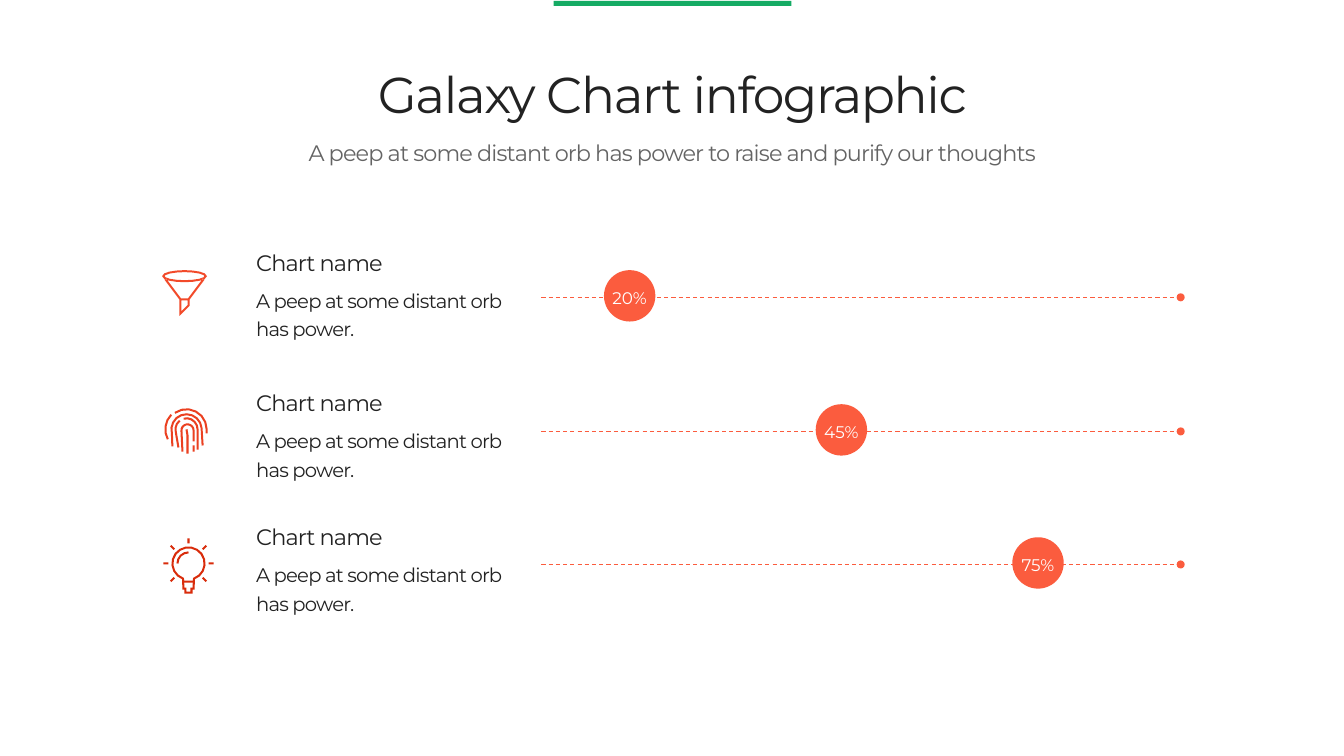
import itertools
import math

import pptx
import pptx.dml.color
import pptx.enum.dml
import pptx.enum.shapes
import pptx.enum.text
import pptx.oxml.ns
import pptx.util
from lxml import etree

inches = pptx.util.Inches
hex_color = pptx.dml.color.RGBColor.from_string
ORANGE, GREEN, INK, GREY, WHITE = "FB5C3E", "15AB64", "222222", "646464", "FFFFFF"
UNITS = 1000


def arc(x, y, radius_x, radius_y, start, end):
    steps = math.ceil(abs(end - start) / 22.5)
    angles = [math.radians(start + (end - start) * step / steps) for step in range(steps + 1)]
    return [complex(x + radius_x * math.cos(a), y + radius_y * math.sin(a)) for a in angles]


def ribbon(points, width):
    directions = [(b - a) / abs(b - a) for a, b in itertools.pairwise(points)]
    closed = abs(points[0] - points[-1]) < 0.01
    before = [directions[-1 if closed else 0]] + directions
    after = directions + [directions[0 if closed else -1]]
    offsets = [1j * (u + v) * width / abs(u + v) ** 2 for u, v in zip(before, after)]
    left = [point + offset for point, offset in zip(points, offsets)]
    right = [point - offset for point, offset in zip(points, offsets)]
    return left + right[::-1]


presentation = pptx.Presentation()
presentation.slide_width = inches(13.33)
presentation.slide_height = inches(7.5)
slide = presentation.slides.add_slide(presentation.slide_layouts[6])
shapes = slide.shapes
kinds = pptx.enum.shapes.MSO_SHAPE
alignments = pptx.enum.text.PP_ALIGN

funnel = [
    arc(1.83, 2.74, 0.21, 0.05, 0, 360),
    [1.64 + 2.77j, 1.79 + 2.97j, 1.79 + 3.11j, 1.87 + 3.03j, 1.87 + 2.97j, 2.02 + 2.77j],
    [1.8 + 2.97j, 1.86 + 2.97j],
]
fingerprint = [
    arc(1.85, 4.26, 0.2, 0.2, 235, 360) + [2.05 + 4.3j],
    arc(1.85, 4.26, 0.21, 0.21, 224, 152),
    [1.71 + 4.43j] + arc(1.85, 4.26, 0.15, 0.15, 165, 355) + [2.01 + 4.42j],
    arc(1.85, 4.26, 0.11, 0.11, 255, 360) + [1.96 + 4.46j],
    arc(1.85, 4.26, 0.11, 0.11, 232, 165) + [1.77 + 4.44j],
    [1.81 + 4.48j] + arc(1.86, 4.27, 0.06, 0.06, 175, 360) + [1.92 + 4.38j],
    [1.92 + 4.42j, 1.92 + 4.48j],
    [1.85 + 4.26j, 1.86 + 4.32j, 1.86 + 4.5j],
]
glass = arc(1.87, 5.59, 0.16, 0.16, 110, 430)
socket = [1.92 + 5.84j, 1.9 + 5.84j, 1.9 + 5.88j, 1.84 + 5.88j, 1.84 + 5.84j, 1.82 + 5.84j]
bulb = [
    glass + socket + glass[:1],
    [1.83 + 5.77j, 1.91 + 5.77j],
    arc(1.87, 5.59, 0.11, 0.11, 180, 270),
]
for angle in range(135, 406, 45):
    ray = complex(math.cos(math.radians(angle)), math.sin(math.radians(angle)))
    bulb.append([1.87 + 5.59j + ray * 0.2, 1.87 + 5.59j + ray * 0.25])

for strokes, width, color in [
    (bulb, 0.02, "D92C0B"),
    (fingerprint, 0.02, "EB4020"),
    (funnel, 0.02, "F24A2A"),
]:
    contours = [
        [(round(p.real * UNITS), round(p.imag * UNITS)) for p in ribbon(stroke, width)]
        for stroke in strokes
    ]
    builder = shapes.build_freeform(*contours[0][0], scale=inches(1) / UNITS)
    for index, contour in enumerate(contours):
        if index:
            builder.move_to(*contour[0])
        builder.add_line_segments(contour[1:], close=True)
    icon = builder.convert_to_shape()
    icon.fill.solid()
    icon.fill.fore_color.rgb = hex_color(color)
    icon.line.fill.background()
    icon.shadow.inherit = False

texts = [
    (shapes.add_textbox(inches(0.92), inches(0.65), inches(11.5), inches(0.67)),
     [("Galaxy Chart infographic", 36, INK, -100, 0.9, 0)], alignments.CENTER),
    (shapes.add_textbox(inches(0.92), inches(1.28), inches(11.5), inches(0.44)),
     [("A peep at some distant orb has power to raise and purify our thoughts",
       16, GREY, -60, 1.2, 12)], alignments.CENTER),
]
solids = [(kinds.RECTANGLE, 5.49, 0.01, 2.36, 0.05, GREEN, None)]

for middle, text_top, bubble_left, share in [
    (2.95, 2.37, 5.99, "20%"),
    (4.28, 3.76, 8.09, "45%"),
    (5.6, 5.09, 10.04, "75%"),
]:
    track = shapes.add_connector(
        pptx.enum.shapes.MSO_CONNECTOR.STRAIGHT,
        inches(5.37), inches(middle), inches(11.67), inches(middle))
    track.line.color.rgb = hex_color(ORANGE)
    track.line.width = pptx.util.Pt(0.75)
    track.line.dash_style = pptx.enum.dml.MSO_LINE.DASH
    etree.SubElement(track._element.spPr, pptx.oxml.ns.qn("a:effectLst"))
    solids.append((kinds.OVAL, bubble_left, middle - 0.27, 0.51, 0.51, ORANGE, share))
    solids.append((kinds.OVAL, 11.67, middle - 0.04, 0.08, 0.08, ORANGE, None))
    label = shapes.add_textbox(inches(2.54), inches(text_top), inches(2.49), inches(1.07))
    label.text_frame.auto_size = pptx.enum.text.MSO_AUTO_SIZE.SHAPE_TO_FIT_TEXT
    texts.append((label, [
        ("Chart name", 16, INK, -60, 1.2, 6),
        ("A peep at some distant orb has power.", 14, INK, -60, 1.2, 6),
    ], alignments.LEFT))

for kind, left, top, width, height, color, caption in solids:
    solid = shapes.add_shape(kind, inches(left), inches(top), inches(width), inches(height))
    solid.fill.solid()
    solid.fill.fore_color.rgb = hex_color(color)
    solid.line.fill.background()
    solid.shadow.inherit = False
    if caption:
        solid.text_frame.vertical_anchor = pptx.enum.text.MSO_ANCHOR.MIDDLE
        texts.append((solid, [(caption, 12, WHITE, 0, 1.2, 6)], alignments.CENTER))

for shape, lines, alignment in texts:
    frame = shape.text_frame
    frame.word_wrap = True
    frame.margin_left = frame.margin_right = 0
    frame.margin_top = frame.margin_bottom = inches(0.05)
    for index, (words, size, color, tracking, spacing, gap) in enumerate(lines):
        paragraph = frame.add_paragraph() if index else frame.paragraphs[0]
        paragraph.alignment = alignment
        paragraph.line_spacing = spacing
        paragraph.space_before = pptx.util.Pt(gap)
        paragraph.font.name = "Montserrat"
        paragraph.font.size = pptx.util.Pt(size)
        paragraph.font.color.rgb = hex_color(color)
        run = paragraph.add_run()
        run.text = words
        run.font._element.set("spc", str(tracking))

presentation.save("out.pptx")
